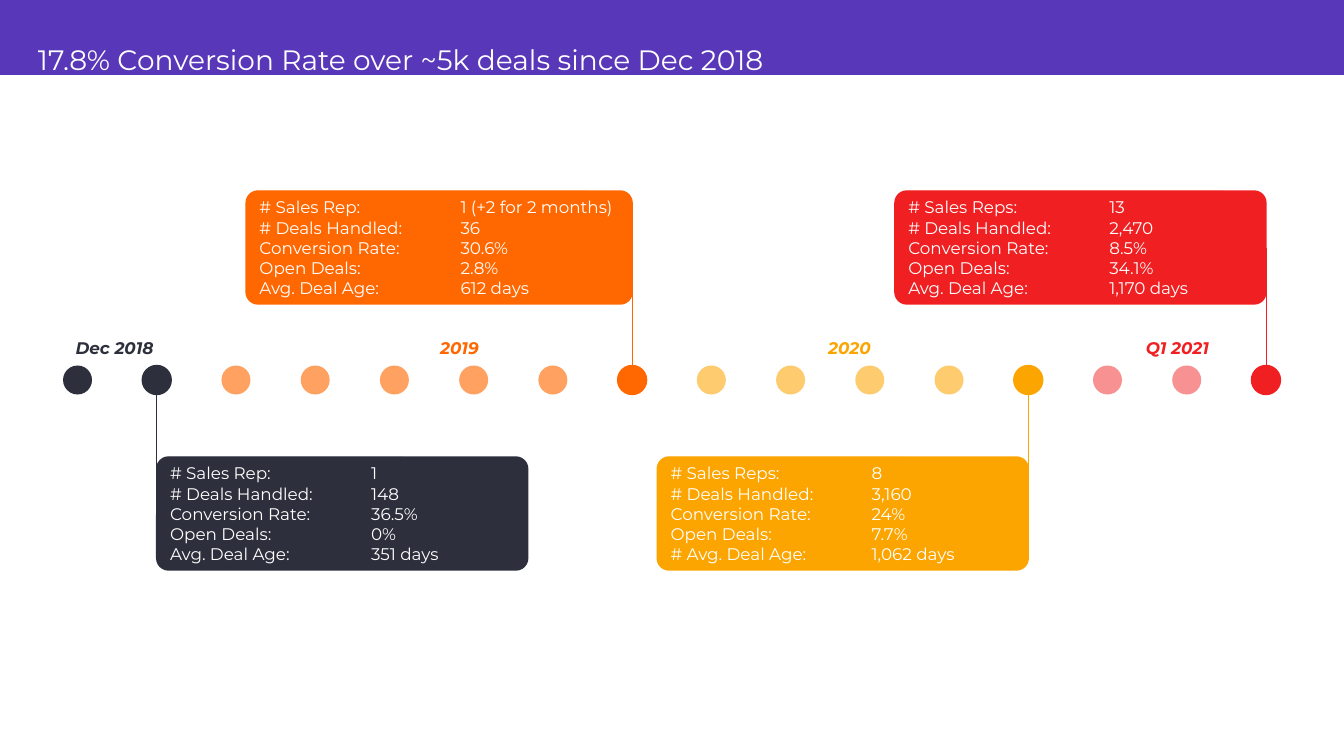
from pptx import Presentation
from pptx import util as u
from pptx.dml.color import RGBColor
from pptx.enum import shapes, text
from pptx.oxml.ns import qn
from lxml import etree

SCALE = 914400 / 100.8
WHITE = "FFFFFF"
DOT, STEP = 29, 79.23
NAMES = ["# Deals Handled:", "Conversion Rate:", "Open Deals:", "Avg. Deal Age:"]


def px(*nums):
    """Turn pixels into EMU."""
    return [u.Emu(round(n * SCALE)) for n in nums]


def paint(fmt, color):
    """Give a fill a solid colour."""
    fmt.solid()
    fmt.fore_color.rgb = RGBColor.from_string(color)


def shape(slide, kind, box, color, edge=False, adj=None):
    """Add a flat filled shape, with an edge of its own colour if asked."""
    item = slide.shapes.add_shape(kind, *px(*box))
    item.shadow.inherit = False
    paint(item.fill, color)
    if edge:
        paint(item.line.fill, color)
        item.line.width = u.Pt(1)
    else:
        item.line.fill.background()
    if adj is not None:
        item.adjustments[0] = adj
    return item


def write(item, lines, size=12, color=WHITE, bold=False, slant=False,
          align=text.PP_ALIGN.LEFT, space=1.0, tab=None):
    """Fill a shape with formatted lines of text."""
    frame = item.text_frame
    frame.word_wrap = True
    frame.vertical_anchor = text.MSO_ANCHOR.MIDDLE
    for i, line in enumerate(lines):
        para = frame.add_paragraph() if i else frame.paragraphs[0]
        para.alignment, para.line_spacing = align, space
        if tab:
            stops = etree.SubElement(para._p.get_or_add_pPr(), qn("a:tabLst"))
            etree.SubElement(stops, qn("a:tab"), pos=str(px(tab)[0]), algn="l")
        run = para.add_run()
        run.text = line
        font = run.font
        font.name, font.size, font.bold, font.italic = "Montserrat", u.Pt(size), bold, slant
        font.color.rgb = RGBColor.from_string(color)


def label(slide, box, words, **form):
    """Add a text box."""
    write(slide.shapes.add_textbox(*px(*box)), [words], **form)


def header(slide, box):
    """Draw the title band."""
    left, top, width, height = box
    shape(slide, shapes.MSO_SHAPE.RECTANGLE, box, "5937B9")
    label(slide, (left + 28, top + 24, width - 69, height),
          "17.8% Conversion Rate over ~5k deals since Dec 2018",
          size=20, color=WHITE, space=0.9)


def stem(slide, x, start, end, color):
    """Draw an upright line that ties a dot to its card."""
    line = slide.shapes.add_connector(shapes.MSO_CONNECTOR.STRAIGHT, *px(x, start, x, end))
    paint(line.line.fill, color)
    line.line.width = u.Pt(0.5)
    etree.SubElement(line._element.spPr, qn("a:effectLst"))


def card(slide, box, color, first, values, names):
    """Draw a card of names and values."""
    item = shape(slide, shapes.MSO_SHAPE.ROUNDED_RECTANGLE, box, color, True, 0.105)
    rows = [f"{name}\t{value}" for name, value in zip([first] + names, values)]
    write(item, rows, tab=201)


def period(slide, box, last, count, dark, light, tag, span, above, wide, side, first, values, names):
    """Draw the dots, tag, stem and card of one period."""
    left, top, _, height = box
    mid = top + height // 2
    for i in range(last - count + 1, last + 1):
        end = i == last
        shape(slide, shapes.MSO_SHAPE.OVAL, (left + i * STEP, mid - DOT / 2, DOT, DOT),
              dark if end else light, end)
    x = left + DOT / 2 + last * STEP
    stem(slide, x, *((top + 57, mid - 14) if above else (mid + 14, top + 322)), dark)
    label(slide, (left + span[0], top + 142, span[1], 30), tag, color=dark,
          bold=True, slant=True, align=text.PP_ALIGN.CENTER)
    card(slide, (x - wide * side, top if above else top + height - 113, wide, 113),
         dark, first, values, names)


def timeline(slide, box):
    """Draw every period along the row of dots."""
    one, many = "# Sales Rep:", "# Sales Reps:"
    for data in [
        (1, 2, "2D303C", "2D303C", "Dec 2018", (1, 101), False, 371, 0, one,
         ["1", "148", "36.5%", "0%", "351 days"], NAMES),
        (7, 6, "FF6800", "FFA161", "2019", (323, 147), True, 386, 1, one,
         ["1 (+2 for 2 months)", "36", "30.6%", "2.8%", "612 days"], NAMES),
        (12, 5, "FCA501", "FECB6E", "2020", (713, 147), False, 371, 1, many,
         ["8", "3,160", "24%", "7.7%", "1,062 days"], NAMES[:3] + ["# Avg. Deal Age:"]),
        (15, 3, "F02022", "F89292", "Q1 2021", (1041, 147), True, 371, 1, many,
         ["13", "2,470", "8.5%", "34.1%", "1,170 days"], NAMES),
    ]:
        period(slide, box, *data)


deck = Presentation()
deck.slide_width, deck.slide_height = px(1344, 756)
page = deck.slides.add_slide(deck.slide_layouts[6])
header(page, (0, 0, 1344, 75))
timeline(page, (63, 191, 1218, 379))
deck.save("out.pptx")
